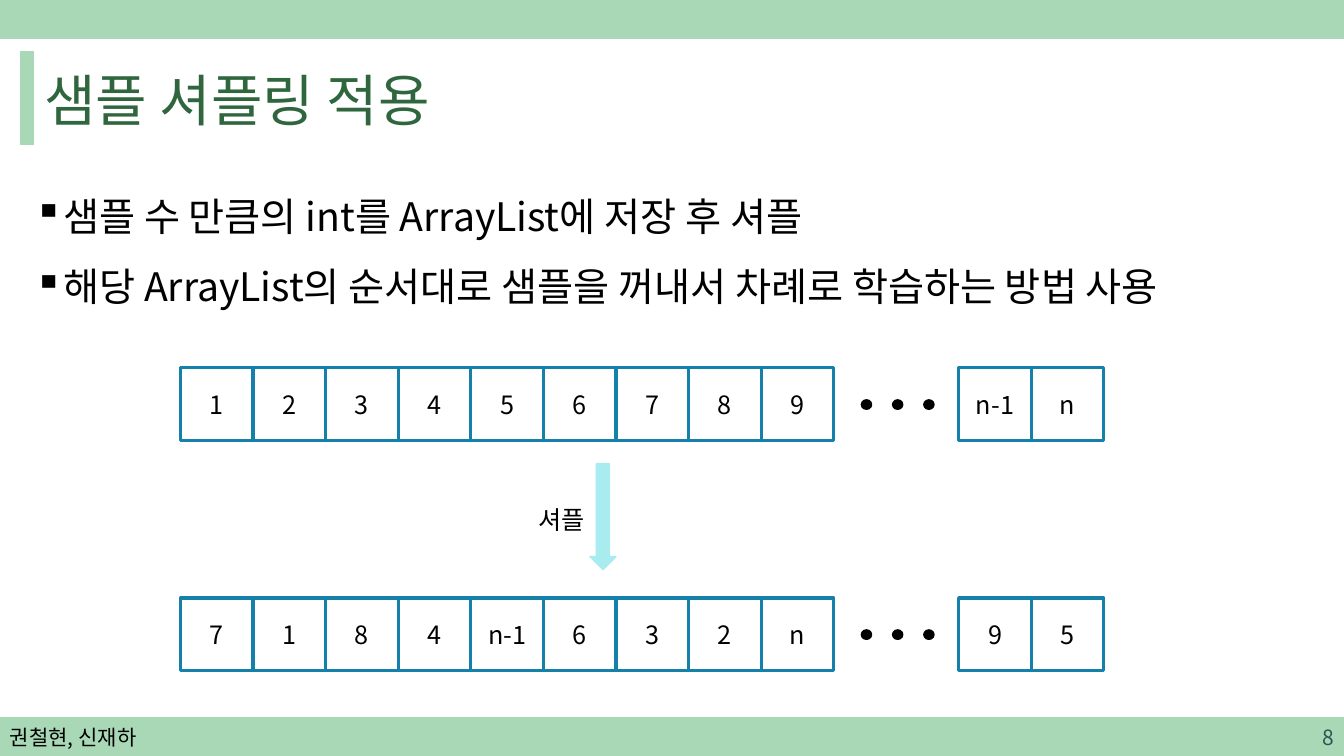
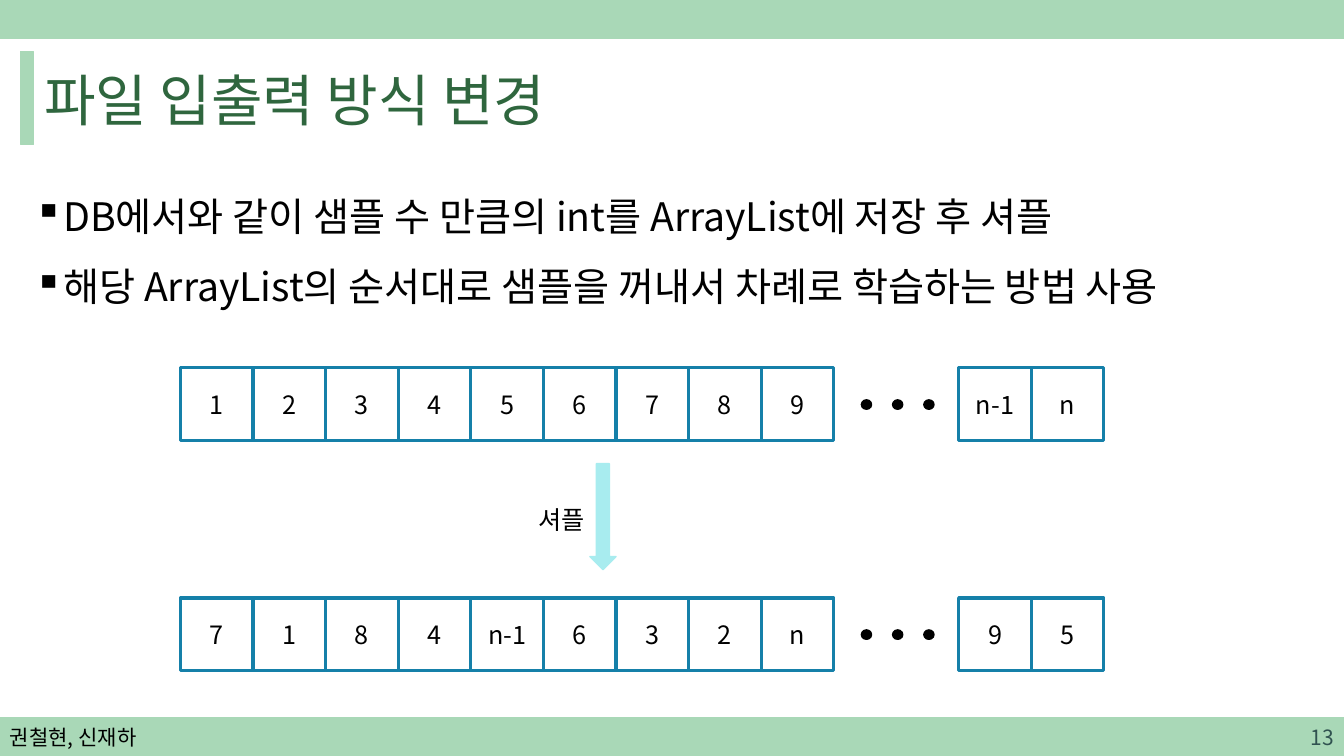
from pptx import Presentation
from pptx.dml.color import RGBColor
from pptx.enum.shapes import MSO_SHAPE
from pptx.enum.text import MSO_ANCHOR, PP_ALIGN
from pptx.oxml.ns import qn
from pptx.util import Inches, Pt
from lxml import etree

RECT, OVAL, DOWN_ARROW = MSO_SHAPE.RECTANGLE, MSO_SHAPE.OVAL, MSO_SHAPE.DOWN_ARROW
LEFT, CENTER, RIGHT = PP_ALIGN.LEFT, PP_ALIGN.CENTER, PP_ALIGN.RIGHT
TOP, MIDDLE = MSO_ANCHOR.TOP, MSO_ANCHOR.MIDDLE

FONT = "Noto Sans CJK KR"
COLORS = {
    "band": "A9D8B7",
    "title": "2F663E",
    "number": "305250",
    "text": "000000",
    "cell": "1580A9",
    "arrow": "A8ECEF",
}
WIDTH, HEIGHT = 13.33, 7.5
CELL = 0.72                     # side of one grid square, inches
GRID_LEFT, GRID_TOP = 1.79, 3.65
BAND = 5.13                     # band height, percent of the slide
TAIL_COL = 10.72                # column where the last two cells start
SHUFFLED_ROW = 3.17

AUTHORS = "권철현, 신재하"
ORDERED = (["1", "2", "3", "4", "5", "6", "7", "8", "9"], ["n-1", "n"])
SHUFFLED = (["7", "1", "8", "4", "n-1", "6", "3", "2", "n"], ["9", "5"])
USE_ORDER = "해당 ArrayList의 순서대로 샘플을 꺼내서 차례로 학습하는 방법 사용"
SLIDES = [
    (8, "샘플 셔플링 적용",
     ["샘플 수 만큼의 int를 ArrayList에 저장 후 셔플", USE_ORDER]),
    (13, "파일 입출력 방식 변경",
     ["DB에서와 같이 샘플 수 만큼의 int를 ArrayList에 저장 후 셔플", USE_ORDER]),
]


def share(x, y, w, h):
    """Turn percentages of the slide into a left, top, width, height box."""
    return (Inches(WIDTH * x / 100), Inches(HEIGHT * y / 100),
            Inches(WIDTH * w / 100), Inches(HEIGHT * h / 100))


def grid(col, row, cols=1, rows=1):
    """Turn columns and rows of the array grid into a box."""
    return (Inches(GRID_LEFT + col * CELL), Inches(GRID_TOP + row * CELL),
            Inches(cols * CELL), Inches(rows * CELL))


def rgb(name):
    return RGBColor.from_string(COLORS[name])


class Deck:
    """Holds the presentation, its style and the current slide."""

    def __init__(self):
        self.prs = Presentation()
        self.prs.slide_width = Inches(WIDTH)
        self.prs.slide_height = Inches(HEIGHT)
        self.s = None

    def start_slide(self, number, title):
        self.s = self.prs.slides.add_slide(self.prs.slide_layouts[6])
        bottom = 100 - BAND
        for box in ((0, 0, 100, BAND), (0, bottom, 100, BAND),
                    (1.54, 6.85, 0.98, 12.27)):
            self.shape(RECT, share(*box), "band")
        self.text(share(2.55, 6.93, 95.95, 12.27), [title], 40, "title", anchor=MIDDLE)
        self.text(share(0, bottom, 22.5, BAND), [AUTHORS], 15, anchor=MIDDLE)
        self.text(share(77.5, bottom, 22.5, BAND), [str(number)], 15, "number",
                  RIGHT, MIDDLE)

    def shape(self, kind, box, fill=None, line=None, weight=1):
        sp = self.s.shapes.add_shape(kind, *box)
        sp.shadow.inherit = False
        if fill:
            sp.fill.solid()
            sp.fill.fore_color.rgb = rgb(fill)
        else:
            sp.fill.background()
        sp.line.color.rgb = rgb(line or fill)
        sp.line.width = Pt(weight)
        return sp

    def set_text(self, sp, lines, size, color="text", align=LEFT, anchor=TOP):
        tf = sp.text_frame
        tf.word_wrap = True
        tf.vertical_anchor = anchor
        for i, line in enumerate(lines):
            p = tf.add_paragraph() if i else tf.paragraphs[0]
            p.alignment = align
            r = p.add_run()
            r.text = line
            r.font.size = Pt(size)
            r.font.name = FONT
            r.font.color.rgb = rgb(color)
            etree.SubElement(r._r.get_or_add_rPr(), qn("a:ea"), typeface=FONT)
        return tf

    def text(self, box, lines, size, color="text", align=LEFT, anchor=TOP):
        sp = self.s.shapes.add_textbox(*box)
        return self.set_text(sp, lines, size, color, align, anchor)

    def bullets(self, lines):
        tf = self.text(share(1.8, 21.6, 96.7, 70.8), lines, 28)
        indent = Inches(0.25)
        for p in tf.paragraphs:
            p.line_spacing = 1.5
            pPr = p._p.get_or_add_pPr()
            pPr.set("marL", str(indent))
            pPr.set("indent", str(-indent))
            etree.SubElement(pPr, qn("a:buChar"), char="▪")

    def cells(self, labels, col, row):
        for i, label in enumerate(labels):
            sp = self.shape(RECT, grid(col + i, row), line="cell", weight=2.25)
            self.set_text(sp, [label], 18, align=CENTER, anchor=MIDDLE)

    def array(self, head, tail, row):
        """Draw the first cells, three dots and the last cells of a list."""
        self.cells(head, 0, row)
        self.cells(tail, TAIL_COL, row)
        for i in range(3):
            self.shape(OVAL, grid(9.38 + i * 0.43, row + 0.44, 0.14, 0.13), "text")

    def shuffle_diagram(self):
        self.array(*ORDERED, row=0)
        self.shape(DOWN_ARROW, grid(5.64, 1.32, 0.36, 1.46), "arrow")
        self.text(grid(4.79, 1.81, 2.4, 0.56), ["셔플"], 18)
        self.array(*SHUFFLED, row=SHUFFLED_ROW)


def main():
    deck = Deck()
    for number, title, points in SLIDES:
        deck.start_slide(number, title)
        deck.bullets(points)
        deck.shuffle_diagram()
    deck.prs.save("out.pptx")


if __name__ == "__main__":
    main()
